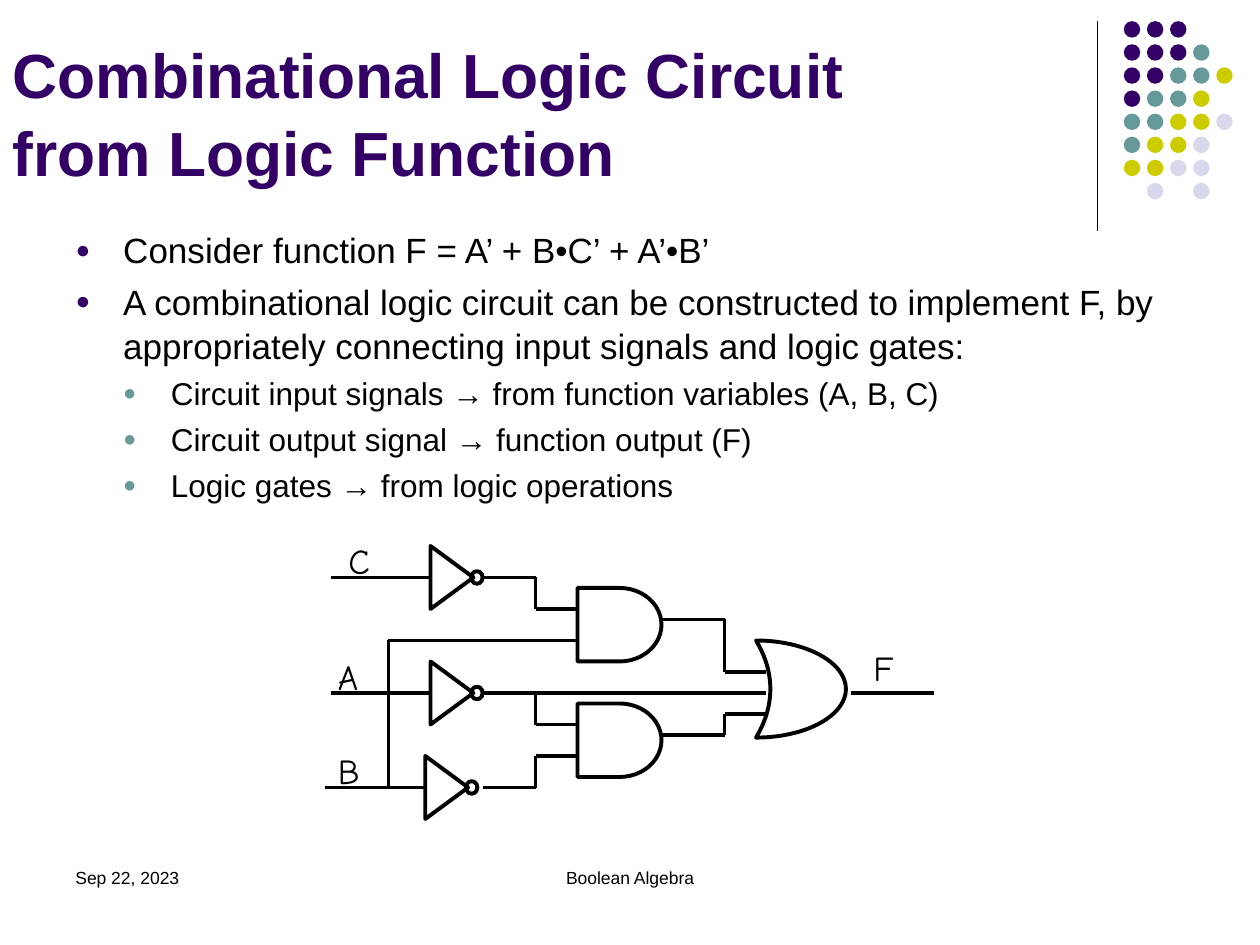
import itertools

import lxml.etree
import pptx
import pptx.dml.color
import pptx.enum.shapes
import pptx.enum.text
import pptx.oxml.ns
import pptx.util

Pt = pptx.util.Pt
Shape = pptx.enum.shapes.MSO_SHAPE
Align = pptx.enum.text.PP_ALIGN
Anchor = pptx.enum.text.MSO_ANCHOR

THEME = {
    "font": "Arial", "label_font": "Comic Neue",
    "title_size": 35.6, "body_sizes": (20, 18), "label_size": 20, "footer_size": 10,
    "space_before": (4, 3.6), "line_spacing": 1.05, "indent": 27.2,
    "ink": "000000", "paper": "FFFFFF", "title": "330066",
    "bullets": ("330066", "669999"),
    "dots": {"P": "330066", "T": "669999", "Y": "CCCC00", "L": "D8D8EC"},
    "wire": 2.25, "riser": 2, "rule": 0.75,
}

TITLE = ("Combinational Logic Circuit", "from Logic Function")
BODY = [
    (0, "Consider function F = A’ + B•C’ + A’•B’"),
    (0, "A combinational logic circuit can be constructed to implement F, by "
        "appropriately connecting input signals and logic gates:"),
    (1, "Circuit input signals → from function variables (A, B, C)"),
    (1, "Circuit output signal → function output (F)"),
    (1, "Logic gates → from logic operations"),
]
FOOTERS = [
    ("Sep 22, 2023", (36, 492, 168, 36), Align.LEFT),
    ("Boolean Algebra", (246, 492, 228, 36), Align.CENTER),
]
DOT_ROWS = ["PPP", "PPPT", "PPTTY", "PTTY", "TTYYL", "TYYL", "YYLL", " L L"]
SIGNALS = [("C", 192, 304.5), ("A", 186, 370.8), ("B", 186, 424.8), ("F", 492, 366)]
INPUT_WIRES = [((189, 330), (246, 330)), ((189, 396), (246, 396)), ((186, 450), (243, 450))]
GATE_WIRES = [
    ((276, 330), (306, 330), (306, 348), (330, 348)),
    ((222, 450), (222, 366), (330, 366)),
    ((276, 396), (306, 396), (438, 396)),
    ((306, 396), (306, 414), (330, 414)),
    ((276, 450), (306, 450), (306, 432), (330, 432)),
    ((378, 354), (414, 354), (414, 384), (438, 384)),
    ((378, 420), (414, 420), (414, 408), (438, 408)),
    ((486, 396), (534, 396)),
]
AND_GATES = [(330, 336, 48, 42), (330, 402, 48, 42)]
OR_GATE = (432, 366, 51.4, 55.5)


def rgb(color):
    return pptx.dml.color.RGBColor.from_string(color)


def place(shape, box):
    shape.left, shape.top, shape.width, shape.height = map(Pt, box)


def write_text(paragraph, text, *, size, font=THEME["font"], color=THEME["ink"],
               bold=False, align=Align.LEFT):
    paragraph.alignment = align
    run = paragraph.add_run()
    run.text = text
    run.font.size = Pt(size)
    run.font.name = font
    run.font.bold = bold
    run.font.color.rgb = rgb(color)


def add_bullet(paragraph, level):
    properties = paragraph._p.get_or_add_pPr()
    properties.set("marL", str(Pt(THEME["indent"] * (level + 1))))
    properties.set("indent", str(-Pt(THEME["indent"])))
    qualified = pptx.oxml.ns.qn
    color = lxml.etree.SubElement(properties, qualified("a:buClr"))
    lxml.etree.SubElement(color, qualified("a:srgbClr"), val=THEME["bullets"][level])
    lxml.etree.SubElement(properties, qualified("a:buSzPct"), val="70000")
    lxml.etree.SubElement(properties, qualified("a:buFont"), typeface=THEME["font"])
    lxml.etree.SubElement(properties, qualified("a:buChar"), char="●")


def add_label(slide, text, box, **text_format):
    label = slide.shapes.add_textbox(*map(Pt, box))
    label.text_frame.word_wrap = True
    write_text(label.text_frame.paragraphs[0], text, **text_format)


def add_shape(slide, kind, box, fill=None, line=None):
    shape = slide.shapes.add_shape(kind, *map(Pt, box))
    shape.shadow.inherit = False
    if fill:
        shape.fill.solid()
        shape.fill.fore_color.rgb = rgb(fill)
    else:
        shape.fill.background()
    if line:
        shape.line.color.rgb = rgb(THEME["ink"])
        shape.line.width = Pt(line)
    else:
        shape.line.fill.background()
    return shape


def add_line(slide, start, end, width):
    line = slide.shapes.add_connector(
        pptx.enum.shapes.MSO_CONNECTOR.STRAIGHT, *map(Pt, start + end))
    line.line.color.rgb = rgb(THEME["ink"])
    line.line.width = Pt(width)
    lxml.etree.SubElement(line._element.spPr, pptx.oxml.ns.qn("a:effectLst"))


def add_decoration(slide):
    add_line(slide, (627, 12), (627, 132), THEME["rule"])
    pitch, diameter = 13.2, 9.4
    for row, colors in enumerate(DOT_ROWS):
        for column, key in enumerate(colors):
            if key in THEME["dots"]:
                box = (642.2 + column * pitch, 12.1 + row * pitch, diameter, diameter)
                add_shape(slide, Shape.OVAL, box, fill=THEME["dots"][key])


def fill_title(title):
    place(title, (0, 21.6, 720, 90))
    frame = title.text_frame
    frame.vertical_anchor = Anchor.BOTTOM
    frame.auto_size = pptx.enum.text.MSO_AUTO_SIZE.NONE
    paragraph = frame.paragraphs[0]
    paragraph.line_spacing = THEME["line_spacing"]
    for index, text in enumerate(TITLE):
        if index:
            paragraph.add_line_break()
        write_text(paragraph, text, size=THEME["title_size"], color=THEME["title"], bold=True)


def fill_body(body):
    place(body, (36, 126, 648, 356.4))
    frame = body.text_frame
    frame.auto_size = pptx.enum.text.MSO_AUTO_SIZE.NONE
    for index, (level, text) in enumerate(BODY):
        paragraph = frame.add_paragraph() if index else frame.paragraphs[0]
        paragraph.level = level
        paragraph.line_spacing = THEME["line_spacing"]
        paragraph.space_before = Pt(THEME["space_before"][level] if index else 0)
        add_bullet(paragraph, level)
        write_text(paragraph, text, size=THEME["body_sizes"][level])


def add_inverter(slide, x, y):
    length, base = 24.5, 36
    box = (x + length / 2 - base / 2, y - length / 2, base, length)
    triangle = add_shape(slide, Shape.ISOSCELES_TRIANGLE, box, line=THEME["wire"])
    triangle.rotation = 90
    add_shape(slide, Shape.OVAL, (x + 23.3, y - 3.6, 6.5, 7.2), line=THEME["wire"])


def add_circuit(slide):
    add_shape(slide, Shape.RECTANGLE, (156, 294, 414, 192), fill=THEME["paper"])
    for wire in INPUT_WIRES + GATE_WIRES:
        for start, end in itertools.pairwise(wire):
            vertical = start[0] == end[0]
            add_line(slide, start, end, THEME["riser" if vertical else "wire"])
    for _, (x, y) in INPUT_WIRES:
        add_inverter(slide, x, y)
    for box in AND_GATES:
        add_shape(slide, Shape.FLOWCHART_DELAY, box, line=THEME["wire"])
    or_gate = add_shape(slide, Shape.MOON, OR_GATE, line=THEME["wire"])
    or_gate.adjustments[0] = 0.84
    or_gate._element.spPr.xfrm.set("flipH", "1")
    for name, left, top in SIGNALS:
        add_label(slide, name, (left, top, 36, 31),
                  size=THEME["label_size"], font=THEME["label_font"])


def main():
    presentation = pptx.Presentation()
    presentation.slide_width, presentation.slide_height = Pt(720), Pt(540)
    slide = presentation.slides.add_slide(presentation.slide_layouts[1])
    add_decoration(slide)
    fill_title(slide.shapes.title)
    fill_body(slide.placeholders[1])
    for text, box, align in FOOTERS:
        add_label(slide, text, box, size=THEME["footer_size"], align=align)
    add_circuit(slide)
    presentation.save("out.pptx")


if __name__ == "__main__":
    main()
